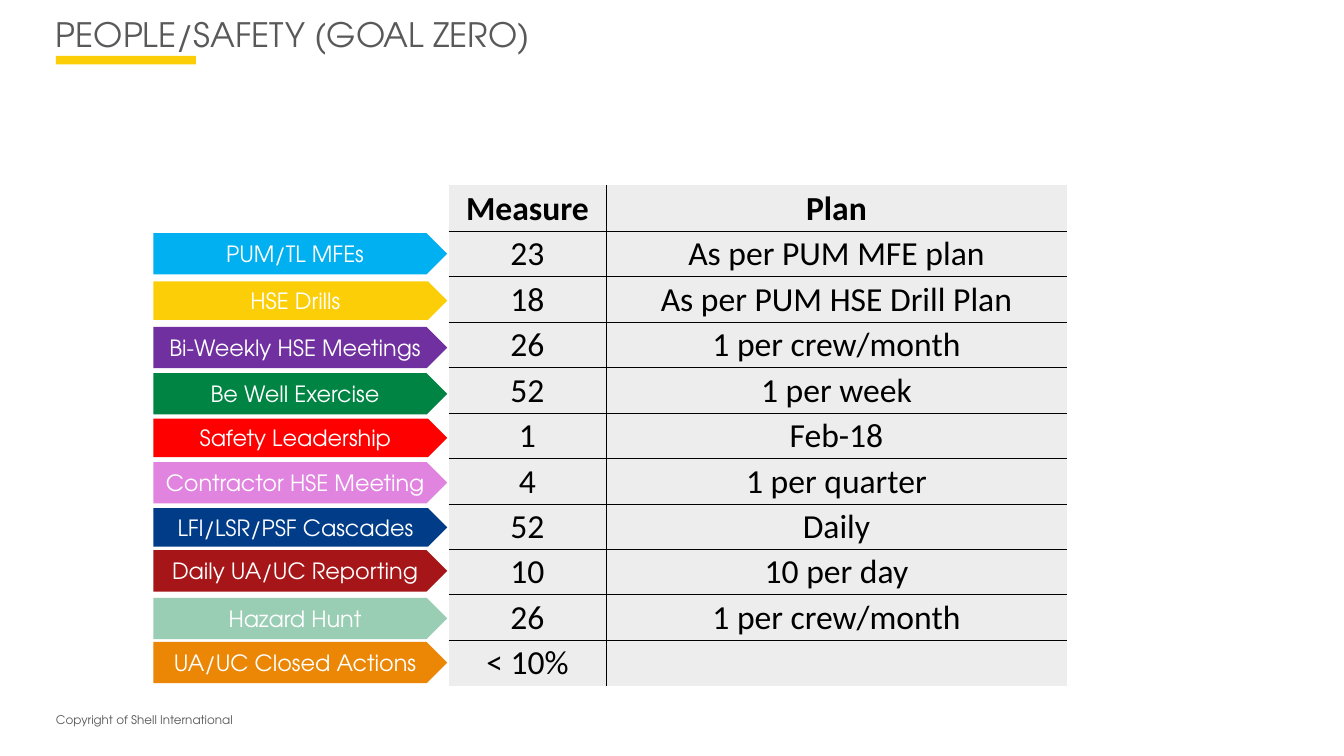
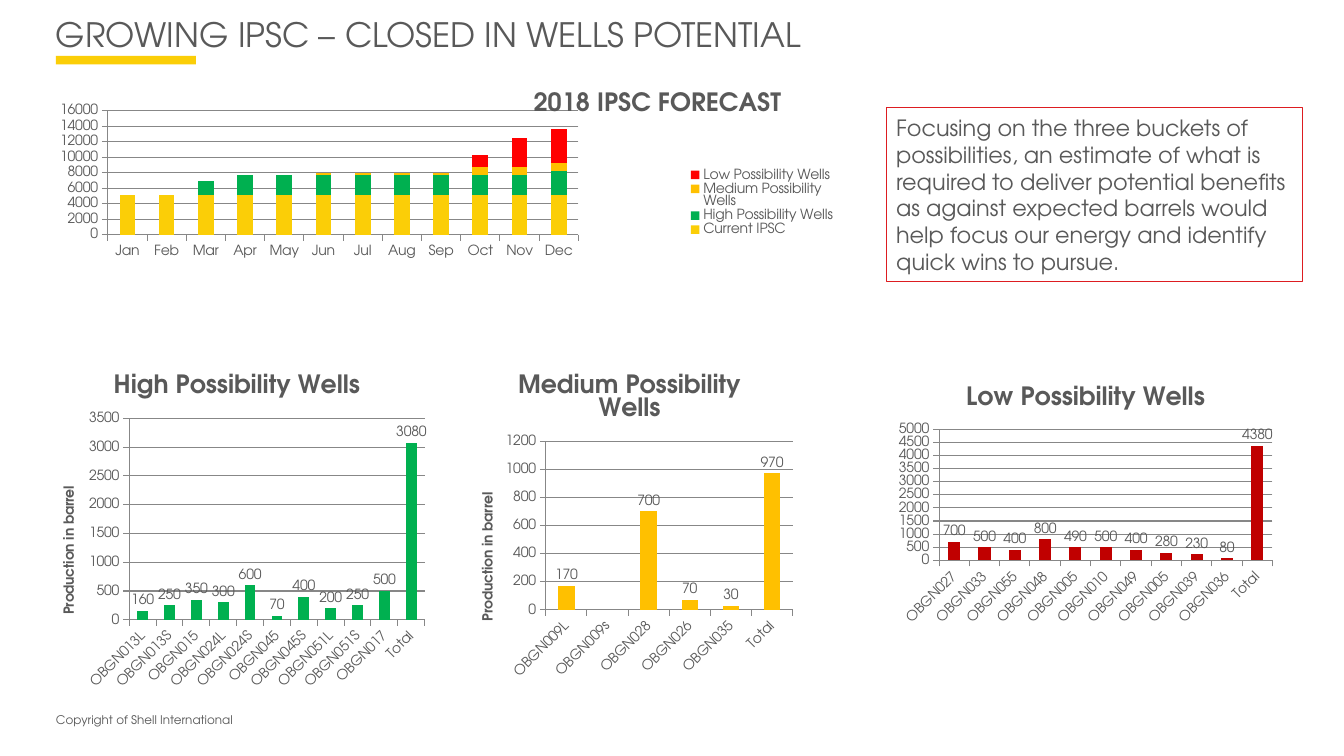
from lxml import etree
from pptx import Presentation
from pptx import util as u
from pptx.chart.data import CategoryChartData
from pptx.dml.color import RGBColor
from pptx.enum import chart as charts, shapes, text
from pptx.oxml import parse_xml
from pptx.oxml.ns import nsdecls, qn

FONT = "TeX Gyre Adventor"
TABLE_FONT = "Calibri"
BLACK = RGBColor(0x00, 0x00, 0x00)
WHITE = RGBColor(0xFF, 0xFF, 0xFF)
GREY = RGBColor(0x59, 0x59, 0x59)
PALE_GREY = RGBColor(0xED, 0xED, 0xED)
YELLOW = RGBColor(0xFB, 0xCE, 0x07)
SKY = RGBColor(0x00, 0xB0, 0xF0)
PURPLE = RGBColor(0x70, 0x30, 0xA0)
FOREST = RGBColor(0x00, 0x84, 0x43)
RED = RGBColor(0xFF, 0x00, 0x00)
PINK = RGBColor(0xE0, 0x84, 0xE0)
NAVY = RGBColor(0x00, 0x3C, 0x88)
MAROON = RGBColor(0xA6, 0x16, 0x19)
MINT = RGBColor(0x99, 0xCE, 0xB4)
ORANGE = RGBColor(0xEB, 0x87, 0x05)
GREEN = RGBColor(0x00, 0xB0, 0x50)
AMBER = RGBColor(0xFF, 0xC0, 0x00)
DARK_RED = RGBColor(0xC0, 0x00, 0x00)
FRAME_RED = RGBColor(0xDD, 0x1D, 0x21)

CELL = u.Pt(10)  # the slide is a grid of 96 columns and 54 rows
COLUMNS, ROWS = 96, 54

# label, colour, top row, height, measure, plan
ACTIVITIES = [
    ("PUM/TL MFEs", SKY, 16.65, 2.95, "23", "As per PUM MFE plan"),
    ("HSE Drills", YELLOW, 20.1, 2.75, "18", "As per PUM HSE Drill Plan"),
    ("Bi-Weekly HSE Meetings", PURPLE, 23.35, 2.95, "26", "1 per crew/month"),
    ("Be Well Exercise", FOREST, 26.65, 2.95, "52", "1 per week"),
    ("Safety Leadership", RED, 29.9, 2.75, "1", "Feb-18"),
    ("Contractor HSE Meeting", PINK, 33, 2.95, "4", "1 per quarter"),
    ("LFI/LSR/PSF Cascades", NAVY, 36.3, 2.75, "52", "Daily"),
    ("Daily UA/UC Reporting", MAROON, 39.3, 2.95, "10", "10 per day"),
    ("Hazard Hunt", MINT, 42.7, 2.95, "26", "1 per crew/month"),
    ("UA/UC Closed Actions", ORANGE, 45.85, 2.95, "< 10%", ""),
]

MONTHS = "Jan Feb Mar Apr May Jun Jul Aug Sep Oct Nov Dec".split()
FORECAST = [
    ("Current IPSC", YELLOW, [5100] * 12),
    ("High Possibility Wells", GREEN, [None] * 2 + [1800] + [2600] * 8 + [3100]),
    ("Medium Possibility Wells", AMBER, [None] * 5 + [300] * 4 + [1000] * 3),
    ("Low Possibility Wells", RED, [None] * 9 + [1600, 3800, 4400]),
]

# title, colour, place on the grid, whether the value axis is named, values
WELL_CHARTS = [
    ("High Possibility Wells", GREEN, (2.95, 25.35, 27.95, 24.35), True,
     [("OBGN013L", 160), ("OBGN013S", 250), ("OBGN015", 350), ("OBGN024L", 300),
      ("OBGN024S", 600), ("OBGN045", 70), ("OBGN045S", 400), ("OBGN051L", 200),
      ("OBGN051S", 250), ("OBGN017", 500), ("Total", 3080)]),
    ("Medium Possibility Wells", AMBER, (32.85, 25.35, 24.25, 23.6), True,
     [("OBGN009L", 170), ("OBGN009s", None), ("OBGN028", 700), ("OBGN026", 70),
      ("OBGN035", 30), ("Total", 970)]),
    ("Low Possibility Wells", DARK_RED, (63.65, 26.35, 27.8, 18.65), False,
     [("OBGN027", 700), ("OBGN033", 500), ("OBGN055", 400), ("OBGN048", 800),
      ("OBGN005", 490), ("OBGN010", 500), ("OBGN049", 400), ("OBGN005", 280),
      ("OBGN039", 230), ("OBGN036", 80), ("Total", 4380)]),
]


def grid(*cells):
    return [round(cell * CELL) for cell in cells]


def style(paragraph, size, color=GREY, bold=False, name=FONT, align=None):
    font = paragraph.font
    font.name, font.size, font.bold = name, u.Pt(size), bold
    font.color.rgb = color
    if align is not None:
        paragraph.alignment = align


def manual_layout(x, y, width, height, inner=False):
    """Chart layout element, in shares of the chart's size."""
    target = '<c:layoutTarget val="inner"/>' if inner else ""
    return parse_xml(
        f'<c:layout {nsdecls("c")}><c:manualLayout>{target}'
        '<c:xMode val="edge"/><c:yMode val="edge"/>'
        f'<c:x val="{x}"/><c:y val="{y}"/><c:w val="{width}"/><c:h val="{height}"/>'
        '</c:manualLayout></c:layout>')


def set_borders(cell, visible):
    """Draw thin black lines on the named sides (L, R, T, B) only."""
    properties = cell._tc.get_or_add_tcPr()
    for side in "LRTB":
        line = etree.SubElement(properties, qn(f"a:ln{side}"))
        if side in visible:
            line.set("w", str(u.Pt(0.5)))
            fill = etree.SubElement(line, qn("a:solidFill"))
            etree.SubElement(fill, qn("a:srgbClr")).set("val", str(BLACK))
        else:
            line.set("w", "0")
            etree.SubElement(line, qn("a:noFill"))


class Report:
    """The deck's style and the slide being filled."""

    def __init__(self):
        self.deck = Presentation()
        self.deck.slide_width, self.deck.slide_height = grid(COLUMNS, ROWS)
        self.layout = self.deck.slide_layouts.get_by_name("Title Only")
        self.slide = None

    def start_slide(self, title):
        first = self.slide is None
        self.slide = self.deck.slides.add_slide(self.layout)
        if first:
            self.decorate_layout()
        box = self.slide.shapes.title
        box.left, box.top, box.width, box.height = grid(4, 1, 69, 2.8)
        frame = box.text_frame
        frame.margin_left = frame.margin_right = 0
        frame.margin_top = frame.margin_bottom = 0
        frame.vertical_anchor = text.MSO_ANCHOR.MIDDLE
        frame.text = title
        style(frame.paragraphs[0], 24, align=text.PP_ALIGN.LEFT)

    def decorate_layout(self):
        """Put the title bar and the footer on the layout, for every slide."""
        bar = self.shape(shapes.MSO_SHAPE.RECTANGLE, (4, 4, 10, 0.6), fill=YELLOW)
        footer = self.slide.shapes.add_textbox(*grid(4, 50.9, 26.4, 1.9))
        frame = footer.text_frame
        frame.margin_left = frame.margin_right = frame.margin_top = 0
        frame.text = "Copyright of Shell International"
        style(frame.paragraphs[0], 8.5)
        for item in (bar, footer):
            self.layout.shapes.element.append(item.element)

    def shape(self, kind, place, fill=None, line=None):
        shape = self.slide.shapes.add_shape(kind, *grid(*place))
        shape.shadow.inherit = False
        if fill is None:
            shape.fill.background()
        else:
            shape.fill.solid()
            shape.fill.fore_color.rgb = fill
        if line is None:
            shape.line.fill.background()
        else:
            shape.line.color.rgb = line
            shape.line.width = u.Pt(0.75)
        return shape

    def text_shape(self, kind, place, words, color, align, **look):
        frame = self.shape(kind, place, **look).text_frame
        frame.word_wrap = True
        frame.vertical_anchor = text.MSO_ANCHOR.MIDDLE
        frame.text = words
        style(frame.paragraphs[0], 16, color, align=align)

    def arrow_label(self, place, words, fill):
        self.text_shape(shapes.MSO_SHAPE.PENTAGON, place, words, WHITE,
                        text.PP_ALIGN.CENTER, fill=fill)

    def note(self, place, words):
        self.text_shape(shapes.MSO_SHAPE.RECTANGLE, place, words, GREY,
                        text.PP_ALIGN.LEFT, line=FRAME_RED)

    def table(self, left, top, widths, row_height, rows):
        place = grid(left, top, sum(widths), row_height * len(rows))
        table = self.slide.shapes.add_table(len(rows), len(widths), *place).table
        table.first_row = table.horz_banding = False
        for column, width in zip(table.columns, grid(*widths)):
            column.width = width
        for r, row in enumerate(rows):
            for c, words in enumerate(row):
                cell = table.cell(r, c)
                sides = "R" if c == 0 else "L"
                sides += "T" if r > 0 else ""
                sides += "B" if r < len(rows) - 1 else ""
                set_borders(cell, sides)
                cell.fill.solid()
                cell.fill.fore_color.rgb = PALE_GREY
                cell.margin_left = cell.margin_right = cell.margin_top = u.Inches(0.01)
                cell.margin_bottom = 0
                cell.vertical_anchor = text.MSO_ANCHOR.MIDDLE
                cell.text = words
                style(cell.text_frame.paragraphs[0], 24, BLACK, r == 0,
                      TABLE_FONT, text.PP_ALIGN.CENTER)

    def column_chart(self, place, title, categories, series, stacked=False):
        data = CategoryChartData()
        data.categories = categories
        for name, _, values in series:
            data.add_series(name, values)
        kinds = charts.XL_CHART_TYPE
        kind = kinds.COLUMN_STACKED if stacked else kinds.COLUMN_CLUSTERED
        chart = self.slide.shapes.add_chart(kind, *grid(*place), data).chart
        chart.font.name, chart.font.size = FONT, u.Pt(10)
        chart.font.color.rgb = GREY
        chart.has_legend = False
        chart.has_title = True
        chart.chart_title.text_frame.text = title
        style(chart.chart_title.text_frame.paragraphs[0], 18, bold=True)
        plot = chart.plots[0]
        plot.gap_width = 150
        plot.vary_by_categories = False
        for bars, (_, color, _) in zip(plot.series, series):
            bars.format.fill.solid()
            bars.format.fill.fore_color.rgb = color
        return chart

    def forecast_chart(self, place, title):
        chart = self.column_chart(place, title, MONTHS, FORECAST, stacked=True)
        chart.plots[0].overlap = 100
        area = chart.element.find(".//" + qn("c:plotArea"))
        for layout in area.findall(qn("c:layout")):
            area.remove(layout)
        area.insert(0, manual_layout(0.054, 0.111, 0.382, 0.371, inner=True))
        chart.has_legend = True
        chart.legend.position = charts.XL_LEGEND_POSITION.RIGHT
        chart.legend.include_in_layout = False
        legend = chart.element.find(".//" + qn("c:legend"))
        for layout in legend.findall(qn("c:layout")):
            legend.remove(layout)
        overlay = legend.find(qn("c:overlay"))
        overlay.addprevious(manual_layout(0.52, 0.28, 0.13, 0.21))

    def well_chart(self, title, color, place, named_axis, wells):
        names, values = zip(*wells)
        chart = self.column_chart(place, title, names, [("Series 1", color, values)])
        plot = chart.plots[0]
        plot.has_data_labels = True
        plot.data_labels.show_value = True
        plot.data_labels.position = charts.XL_LABEL_POSITION.OUTSIDE_END
        if named_axis:
            frame = chart.value_axis.axis_title.text_frame
            frame.text = "Production in barrel"
            style(frame.paragraphs[0], 10, bold=True)


def main():
    report = Report()

    report.start_slide("PEOPLE/SAFETY (GOAL ZERO)")
    rows = [("Measure", "Plan")] + [activity[-2:] for activity in ACTIVITIES]
    report.table(32.05, 13.25, (11.25, 32.9), 3.25, rows)
    for label, color, top, height, _, _ in ACTIVITIES:
        report.arrow_label((10.95, top, 21, height), label, color)

    report.start_slide("GROWING IPSC – CLOSED IN WELLS POTENTIAL")
    report.forecast_chart((2.95, 5.25, 88, 23.9), "2018 IPSC FORECAST")
    for well_chart in WELL_CHARTS:
        report.well_chart(*well_chart)
    report.note((63.3, 7.7, 29.75, 12.4),
                "Focusing on the three buckets of possibilities, an estimate of what is "
                "required to deliver potential benefits as against expected barrels would "
                "help focus our energy and identify quick wins to pursue.")

    report.deck.save("out.pptx")


if __name__ == "__main__":
    main()
